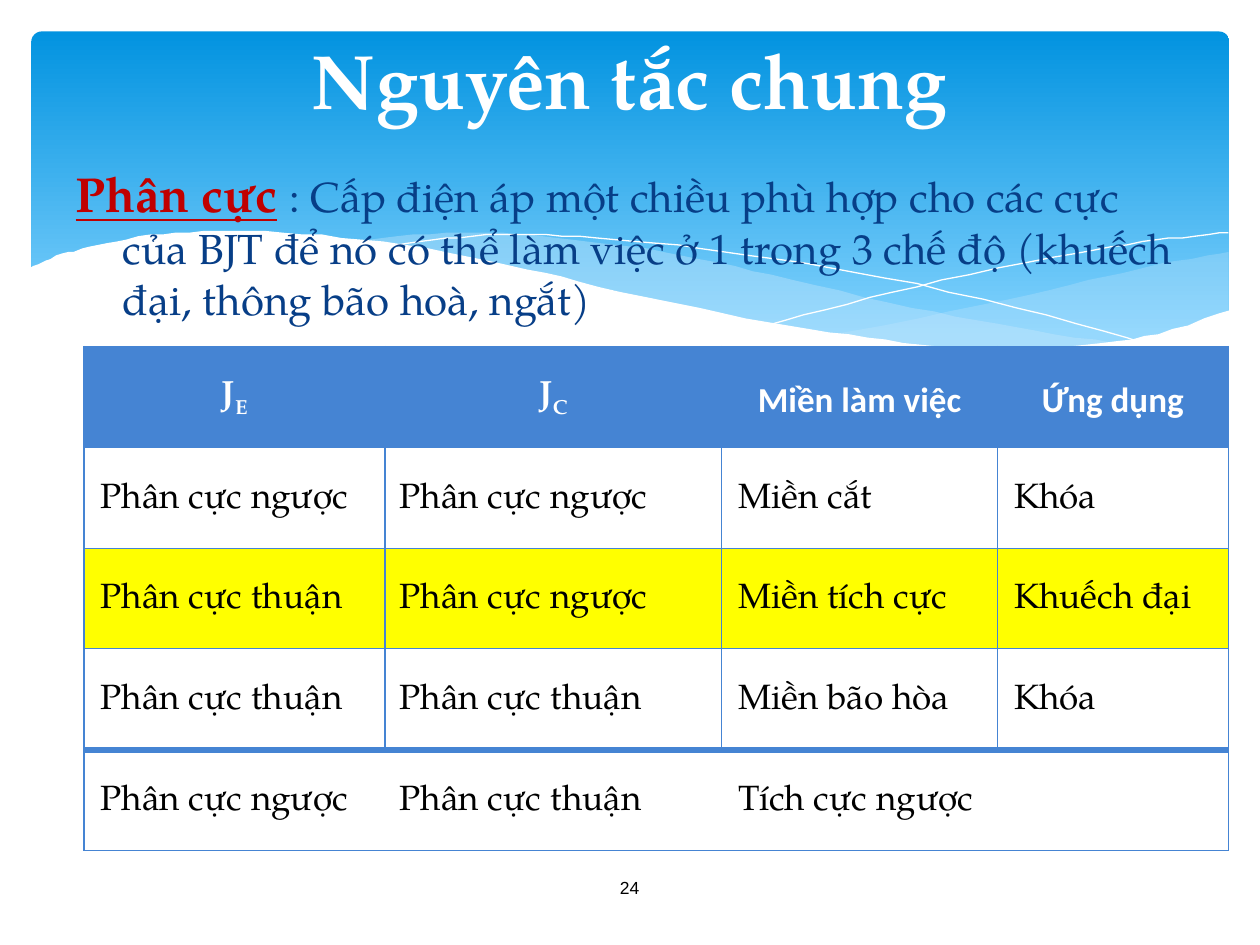
from lxml.etree import SubElement
from pptx import Presentation
from pptx.dml.color import RGBColor
from pptx.enum.shapes import MSO_SHAPE
from pptx.enum.text import MSO_ANCHOR, MSO_AUTO_SIZE, PP_ALIGN
from pptx.oxml.ns import qn
from pptx.util import Pt

COLORS = {
    "sky_top": "0293E0", "sky_bottom": "83D3FE", "wave": "C6E7FC",
    "white": "FFFFFF", "black": "000000", "red": "C00000",
    "navy": "073E87", "blue": "4584D3", "yellow": "FFFF00",
}
SERIF = "TeX Gyre Pagella"

# Wave edges as anchor points, in points on the slide
GLOW_TOP = [(702.5, 144), (673, 149), (641.5, 155.5), (599, 165.5), (542, 178.5), (476, 191)]
GLOW_BOTTOM = [(476, 191), (518, 196), (553.5, 199.5), (586, 200), (621.5, 198),
               (651.5, 193.5), (678, 186.5), (702.5, 178)]
BAND_TOP = [(643, 196.5), (602.5, 191), (558, 183), (508, 173), (453, 160), (409.5, 150),
            (370, 142.5), (335, 137.5), (302.5, 134.5), (273.5, 133), (236, 134.5), (206, 137.5)]
BAND_BOTTOM = [(206, 137.5), (246, 143.5), (291, 152), (323.5, 160), (381.5, 173), (432.5, 183.5),
               (479, 191.5), (520, 197), (556.5, 199.5), (589, 200), (617, 199.5), (643, 196.5)]
FALLING_LINE = [(222.5, 140.5), (247.5, 137), (278.5, 134.5), (312, 134.5), (352, 137),
                (400.5, 142), (458, 150), (523.5, 162.5), (598.5, 180.5), (653, 196)]
RISING_LINE = [(441.5, 185), (484, 173.5), (538.5, 160.5), (602, 147), (644.5, 139.5),
               (675.5, 135.5), (702, 133)]
WHITE_TOP = [(703.5, 177), (669.5, 188.5), (638.5, 195), (602.5, 198.5), (571, 199),
             (535.5, 197.5), (495.5, 193), (450.5, 186), (399.5, 176.5), (342, 163.5),
             (301, 153.5), (245, 142), (195, 135.5), (152, 132.5), (116, 132.5),
             (85.5, 134.5), (61, 139), (42.5, 143.5), (29, 147.5), (16.5, 153.5)]
WHITE_BOTTOM = [(16.5, 237), (703.5, 237)]

HEADER = [("J", "E"), ("J", "C"), ("Miền làm việc", ""), ("Ứng dụng", "")]
ROWS = [
    ["Phân cực ngược", "Phân cực ngược", "Miền cắt", "Khóa"],
    ["Phân cực thuận", "Phân cực ngược", "Miền tích cực", "Khuếch đại"],
    ["Phân cực thuận", "Phân cực thuận", "Miền bão hòa", "Khóa"],
    ["Phân cực ngược", "Phân cực thuận", "Tích cực ngược", ""],
]
ACTIVE_ROW = 2


def rgb(name):
    return RGBColor.from_string(COLORS[name])


def add_text(paragraph, text, size=20, font=SERIF, color="black", bold=False,
             underline=False, baseline=None):
    run = paragraph.add_run()
    run.text = text
    run.font.size, run.font.name = Pt(size), font
    run.font.bold, run.font.underline = bold, underline
    run.font.color.rgb = rgb(color)
    if baseline is not None:
        run.font._element.set("baseline", str(baseline * 1000))


def set_indent(paragraph, left, first_line):
    properties = paragraph._p.get_or_add_pPr()
    properties.set("marL", str(Pt(left)))
    properties.set("indent", str(Pt(first_line)))
    return properties


def place(shape, box):
    shape.left, shape.top, shape.width, shape.height = map(Pt, box)


def smooth(points, steps=4):
    """Catmull-Rom curve through the points."""
    padded = [points[0], *points, points[-1]]
    curve = []
    for a, b, c, d in zip(padded, padded[1:], padded[2:], padded[3:]):
        for step in range(steps):
            t = step / steps
            curve.append(tuple(
                q + t / 2 * (r - p + t * (2 * p - 5 * q + 4 * r - s + t * (3 * (q - r) + s - p)))
                for p, q, r, s in zip(a, b, c, d)))
    return curve + [points[-1]]


def add_wave(slide, points, fill=None, opacity=100):
    builder = slide.shapes.build_freeform(*points[0], scale=Pt(1))
    builder.add_line_segments(points[1:], close=fill is not None)
    wave = builder.convert_to_shape()
    wave.shadow.inherit = False
    if fill is None:
        wave.fill.background()
        wave.line.color.rgb = rgb("white")
        wave.line.width = Pt(0)
        return
    wave.fill.solid()
    wave.fill.fore_color.rgb = rgb(fill)
    wave.line.fill.background()
    if opacity < 100:
        color = wave.element.spPr.find(qn("a:solidFill"))[0]
        SubElement(color, qn("a:alpha"), val=str(opacity * 1000))


def add_backdrop(slide, box):
    sky = slide.shapes.add_shape(MSO_SHAPE.ROUNDED_RECTANGLE, *map(Pt, box))
    sky.adjustments[0] = 0.03
    sky.shadow.inherit = False
    sky.line.fill.background()
    sky.fill.gradient()
    sky.fill.gradient_angle = 270
    for stop, color, position in zip(sky.fill.gradient_stops, ("sky_top", "sky_bottom"), (0, 0.9)):
        stop.color.rgb = rgb(color)
        stop.position = position
    add_wave(slide, smooth(GLOW_TOP) + smooth(GLOW_BOTTOM), "wave", 29)
    add_wave(slide, smooth(BAND_TOP) + smooth(BAND_BOTTOM), "wave", 40)
    add_wave(slide, smooth(FALLING_LINE))
    add_wave(slide, smooth(RISING_LINE))
    add_wave(slide, smooth(WHITE_TOP) + WHITE_BOTTOM, "white")


def fill_placeholder(shape, box):
    """Bring the placeholder in front of the backdrop and return its paragraph."""
    shape.element.getparent().append(shape.element)
    place(shape, box)
    shape.text_frame.auto_size = MSO_AUTO_SIZE.NONE
    return shape.text_frame.paragraphs[0]


def add_title(slide, box):
    paragraph = fill_placeholder(slide.shapes.title, box)
    paragraph.alignment = PP_ALIGN.CENTER
    add_text(paragraph, "Nguyên tắc chung", size=44, color="white", bold=True)


def add_definition(slide, box):
    paragraph = fill_placeholder(slide.placeholders[1], box)
    SubElement(set_indent(paragraph, 27, -27), qn("a:buNone"))
    add_text(paragraph, "Phân cực", size=28, color="red", bold=True, underline=True)
    add_text(paragraph, " ", size=28, color="red", bold=True)
    add_text(paragraph, ": Cấp điện áp một chiều phù hợp cho các cực của BJT để nó có thể "
             "làm việc ở 1 trong 3 chế độ (khuếch đại, thông bão hoà, ngắt)",
             size=24, color="navy")


def add_page_number(slide, box):
    frame = slide.shapes.add_textbox(*map(Pt, box)).text_frame
    frame.word_wrap = True
    frame.vertical_anchor = MSO_ANCHOR.MIDDLE
    frame.paragraphs[0].alignment = PP_ALIGN.CENTER
    add_text(frame.paragraphs[0], "24", size=10, font="Arial")


def set_borders(cell, widths):
    """Widths run left, right, top, bottom; zero hides the border."""
    properties = cell._tc.get_or_add_tcPr()
    for index, (side, width) in enumerate(zip("LRTB", widths)):
        line = properties.makeelement(qn(f"a:ln{side}"), {"w": str(Pt(width))})
        properties.insert(index, line)
        if width:
            SubElement(SubElement(line, qn("a:solidFill")), qn("a:srgbClr"), val=COLORS["blue"])
        else:
            SubElement(line, qn("a:noFill"))


def add_modes_table(slide, box):
    widths, indents = (172, 192.5, 157.5, 132), (8, 3.5, 4.5, 4.5)
    last_row, last_column = len(ROWS), len(HEADER) - 1
    table = slide.shapes.add_table(last_row + 1, len(HEADER), *map(Pt, box)).table
    table.first_row = table.horz_banding = False
    for column, width in zip(table.columns, widths):
        column.width = Pt(width)
    for r in range(last_row + 1):
        for c in range(last_column + 1):
            cell = table.cell(r, c)
            cell.vertical_anchor = MSO_ANCHOR.MIDDLE
            cell.margin_left = cell.margin_right = Pt(5 if c else 1.5)
            cell.margin_top = cell.margin_bottom = 0
            paragraph = cell.text_frame.paragraphs[0]
            paragraph.line_spacing, paragraph.space_after = 1.15, Pt(3)
            if r == 0:
                paragraph.alignment = PP_ALIGN.CENTER
                text, subscript = HEADER[c]
                style = {"color": "white", "bold": True}
                add_text(paragraph, text, font=SERIF if subscript else "Calibri", **style)
                if subscript:
                    add_text(paragraph, subscript, baseline=-25, **style)
            elif ROWS[r - 1][c]:
                paragraph.alignment = PP_ALIGN.JUSTIFY
                set_indent(paragraph, 0, indents[c])
                add_text(paragraph, ROWS[r - 1][c])
            # Fill and borders: the last row is set apart and has no inner lines
            if r in (0, ACTIVE_ROW):
                cell.fill.solid()
                cell.fill.fore_color.rgb = rgb("yellow" if r else "blue")
            else:
                cell.fill.background()
            inner = 0 if r == last_row else 0.75
            set_borders(cell, (inner if c else 0.75, inner if c < last_column else 0.75,
                               4 if r == last_row else 0.75, 4 if r == last_row - 1 else 0.75))


def main():
    presentation = Presentation()
    presentation.slide_width, presentation.slide_height = Pt(720), Pt(540)
    slide = presentation.slides.add_slide(presentation.slide_layouts[1])
    add_backdrop(slide, (18, 18, 684.5, 194.5))
    add_title(slide, (36, 0, 648, 90))
    add_definition(slide, (36, 90, 648, 414))
    add_page_number(slide, (314, 492.5, 91.5, 29))
    add_modes_table(slide, (48, 198, 654, 288))
    presentation.save("out.pptx")


if __name__ == "__main__":
    main()
